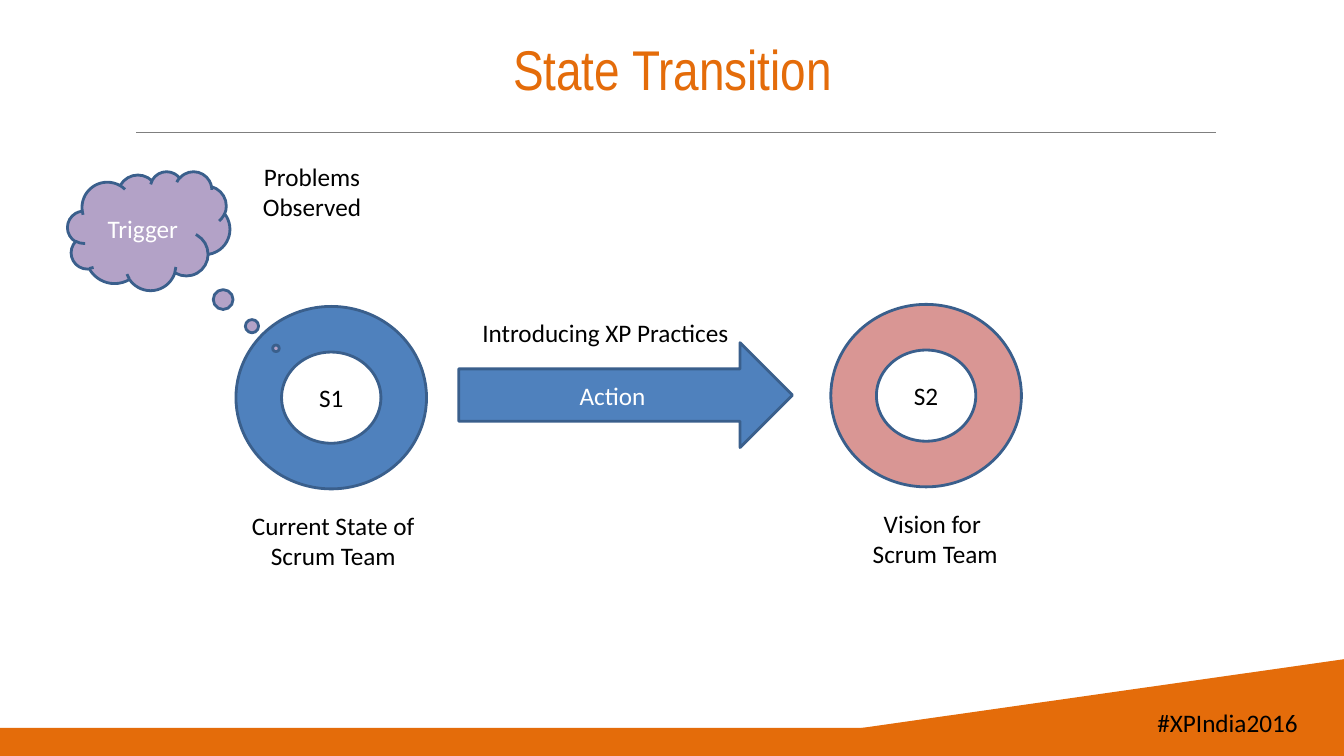
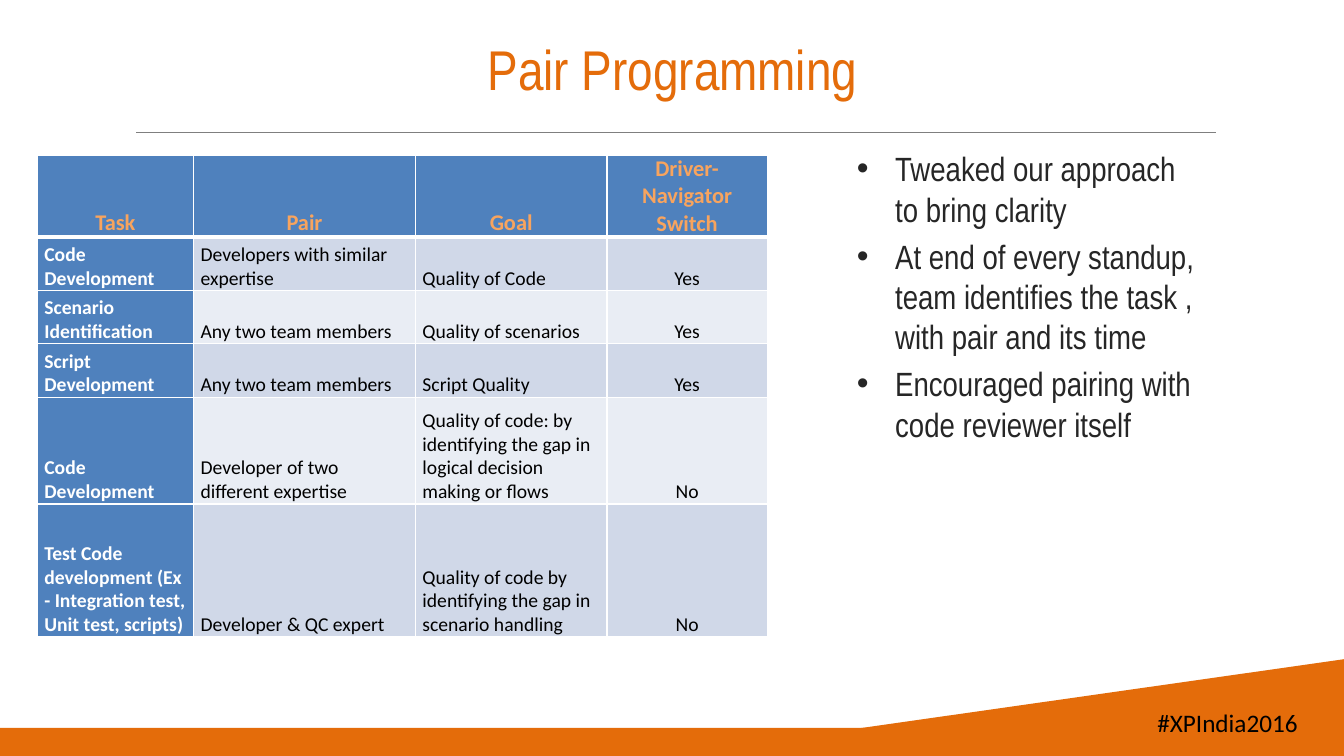
import dataclasses
import typing

import lxml.etree
import pptx
import pptx.dml.color
import pptx.enum.shapes
import pptx.enum.text
import pptx.oxml.ns
import pptx.util

Inches = pptx.util.Inches
Pt = pptx.util.Pt
Align = pptx.enum.text.PP_ALIGN
Anchor = pptx.enum.text.MSO_ANCHOR
Kind = pptx.enum.shapes.MSO_SHAPE
qn = pptx.oxml.ns.qn


@dataclasses.dataclass(frozen=True)
class Theme:
    orange: str = "E46C0A"
    rule: str = "7F7F7F"
    blue: str = "4F81BD"
    edge: str = "3A5F8C"
    purple: str = "B3A2C7"
    rose: str = "D99694"
    peach: str = "F8A45E"
    bands: tuple = ("D0D8E8", "E9EDF4")
    ink: str = "262626"
    black: str = "000000"
    white: str = "FFFFFF"
    sans: str = "Calibri"
    narrow: str = "Arial Narrow"
    title: int = 40
    body: int = 24
    label: int = 18
    head: int = 16
    cell: int = 14


class Box(typing.NamedTuple):
    left: float
    top: float
    width: float
    height: float

    def emu(self):
        return [Inches(side) for side in self]

    def at(self, right, down, width, height):
        """Return a box whose corner is offset from this one's."""
        return Box(self.left + right, self.top + down, width, height)


THEME = Theme()
PAGE = Box(0, 0, 13.33, 7.5)


def rgb(code):
    return pptx.dml.color.RGBColor.from_string(code)


def write(frame, text, size, color, font=THEME.sans, align=Align.CENTER, bold=False):
    frame.text = text
    for para in frame.paragraphs:
        para.alignment = align
        for run in para.runs:
            run.font.name = font
            run.font.size = Pt(size)
            run.font.bold = bold
            run.font.color.rgb = rgb(color)


def label(slide, box, text, align=Align.CENTER):
    frame = slide.shapes.add_textbox(*box.emu()).text_frame
    frame.word_wrap = False
    write(frame, text, THEME.label, THEME.black, align=align)


def paint(shape, fill, edge=None):
    shape.shadow.inherit = False
    shape.fill.solid()
    shape.fill.fore_color.rgb = rgb(fill)
    if edge:
        shape.line.color.rgb = rgb(edge)
        shape.line.width = Pt(2)
    else:
        shape.line.fill.background()


def figure(slide, kind, box, text, fill, color):
    shape = slide.shapes.add_shape(kind, *box.emu())
    paint(shape, fill, THEME.edge)
    shape.text_frame.vertical_anchor = Anchor.MIDDLE
    write(shape.text_frame, text, THEME.label, color)
    return shape


def footer(slide, box):
    """Draw the orange band, its rising wedge and the hashtag."""
    shapes = slide.shapes
    band = box.at(0, 0.68, box.width, 0.28)
    paint(shapes.add_shape(Kind.RECTANGLE, *band.emu()), THEME.orange)
    points = [
        (Inches(box.left + x), Inches(box.top + y))
        for x, y in [(8.14, 0.74), (box.width, 0), (box.width, 0.9), (8.16, 0.9)]
    ]
    path = shapes.build_freeform(*points[0])
    path.add_line_segments(points[1:], close=True)
    paint(path.convert_to_shape(), THEME.orange)
    label(slide, box.at(11.36, 0.43, 1.61, 0.4), "#XPIndia2016", Align.RIGHT)


def header(slide, box, text):
    frame = slide.shapes.add_textbox(*box.emu()).text_frame
    frame.word_wrap = True
    frame.vertical_anchor = Anchor.MIDDLE
    write(frame, text, THEME.title, THEME.orange, THEME.narrow)
    left, top, width, _ = box.at(0.68, 1.26, 10.71, 0).emu()
    rule = slide.shapes.add_connector(
        pptx.enum.shapes.MSO_CONNECTOR.STRAIGHT, left, top, left + width, top
    )
    rule.line.color.rgb = rgb(THEME.rule)
    rule.line.width = Pt(0.75)
    lxml.etree.SubElement(rule._element.spPr, qn("a:effectLst"))


def start(deck, title):
    slide = deck.slides.add_slide(deck.slide_layouts[6])
    footer(slide, PAGE.at(0, 6.54, PAGE.width, 0.96))
    header(slide, PAGE.at(0.67, 0.05, 12, 1.25), title)
    return slide


def state(slide, box, name, fill, text, shift):
    """Draw a ring with its caption below, moved right by shift."""
    figure(slide, Kind.DONUT, box, name, fill, THEME.black)
    label(slide, box.at(shift, 1.97, box.width, 0.71), text)


def trigger(slide, box):
    cloud = figure(
        slide, Kind.CLOUD_CALLOUT, box, "Trigger", THEME.purple, THEME.white
    )
    cloud.adjustments[0] = 0.784
    cloud.adjustments[1] = 0.988
    label(slide, box.at(1.83, -0.15, 1.19, 0.71), "Problems\nObserved")


def action(slide, box):
    figure(slide, Kind.RIGHT_ARROW, box, "Action", THEME.blue, THEME.white)
    label(slide, box.at(0.12, -0.3, 2.67, 0.4), "Introducing XP Practices")


def border(cell, widths):
    """Add white edges in the order left, right, top, bottom."""
    props = cell._tc.get_or_add_tcPr()
    for place, (side, width) in enumerate(zip("LRTB", widths)):
        line = lxml.etree.Element(qn(f"a:ln{side}"), w=str(Pt(width)))
        fill = lxml.etree.SubElement(line, qn("a:solidFill"))
        lxml.etree.SubElement(fill, qn("a:srgbClr"), val=THEME.white)
        props.insert(place, line)


def style(cell, text, row, col):
    cell.vertical_anchor = Anchor.BOTTOM
    cell.margin_left = cell.margin_right = Inches(0.07)
    cell.margin_top = cell.margin_bottom = 0
    top, first = row == 0, col == 0
    color = THEME.peach if top else THEME.white if first else THEME.black
    write(
        cell.text_frame,
        text,
        THEME.head if top else THEME.cell,
        color,
        align=Align.CENTER if top or col == 3 else Align.LEFT,
        bold=top or first,
    )
    cell.fill.solid()
    shade = THEME.blue if top or first else THEME.bands[(row - 1) % 2]
    cell.fill.fore_color.rgb = rgb(shade)
    border(cell, (1, 1, 3 if row == 1 else 1, 3 if top else 1))


def grid(slide, box, rows, widths, heights):
    table = slide.shapes.add_table(len(rows), len(widths), *box.emu()).table
    for col, width in zip(table.columns, widths):
        col.width = Inches(width)
    for row, height in zip(table.rows, heights):
        row.height = Inches(height)
    for y, texts in enumerate(rows):
        for x, text in enumerate(texts):
            style(table.cell(y, x), text, y, x)


def bullets(slide, box, lines):
    frame = slide.shapes.add_textbox(*box.emu()).text_frame
    frame.word_wrap = True
    write(
        frame, "\n".join(lines), THEME.body, THEME.ink, THEME.narrow, Align.LEFT
    )
    for para in frame.paragraphs:
        para.space_before = Pt(THEME.body * 0.2)
        props = para._p.get_or_add_pPr()
        props.set("marL", str(Inches(0.38)))
        props.set("indent", str(Inches(-0.38)))
        lxml.etree.SubElement(props, qn("a:buFont"), typeface="Arial")
        lxml.etree.SubElement(props, qn("a:buChar"), char="•")


def change(deck):
    slide = start(deck, "State Transition")
    state(slide, Box(2.34, 3.04, 1.89, 1.81), "S1", THEME.blue,
          "Current State of\nScrum Team", 0.02)
    trigger(slide, Box(0.67, 1.7, 1.61, 1.18))
    state(slide, Box(8.24, 3.02, 1.89, 1.81), "S2", THEME.rose,
          "Vision for \nScrum Team", 0.09)
    action(slide, Box(4.55, 3.4, 3.31, 1.04))


def pairing(deck):
    slide = start(deck, "Pair Programming")
    bullets(slide, Box(8.4, 1.42, 3.62, 4.95), [
        "Tweaked our approach to bring clarity",
        "At end of every standup, team identifies the task , with pair and its time",
        "Encouraged pairing with code reviewer itself",
    ])
    rows = [
        ("Task", "Pair", "Goal", "Driver- Navigator Switch"),
        ("Code Development", "Developers with similar expertise",
         "Quality of Code", "Yes"),
        ("Scenario Identification", "Any two team members",
         "Quality of scenarios", "Yes"),
        ("Script Development", "Any two team members", "Script Quality", "Yes"),
        ("Code Development", "Developer of two different expertise",
         "Quality of code: by identifying the gap in logical decision making or flows",
         "No"),
        ("Test Code development (Ex - Integration test, Unit test, scripts)",
         "Developer & QC expert",
         "Quality of code by identifying the gap in scenario handling", "No"),
    ]
    grid(slide, Box(0.37, 1.54, 7.24, 4.78), rows,
         (1.55, 2.2, 1.9, 1.59), (0.81, 0.53, 0.53, 0.53, 1.06, 1.32))


def main():
    deck = pptx.Presentation()
    deck.slide_width = Inches(PAGE.width)
    deck.slide_height = Inches(PAGE.height)
    change(deck)
    pairing(deck)
    deck.save("out.pptx")


if __name__ == "__main__":
    main()
